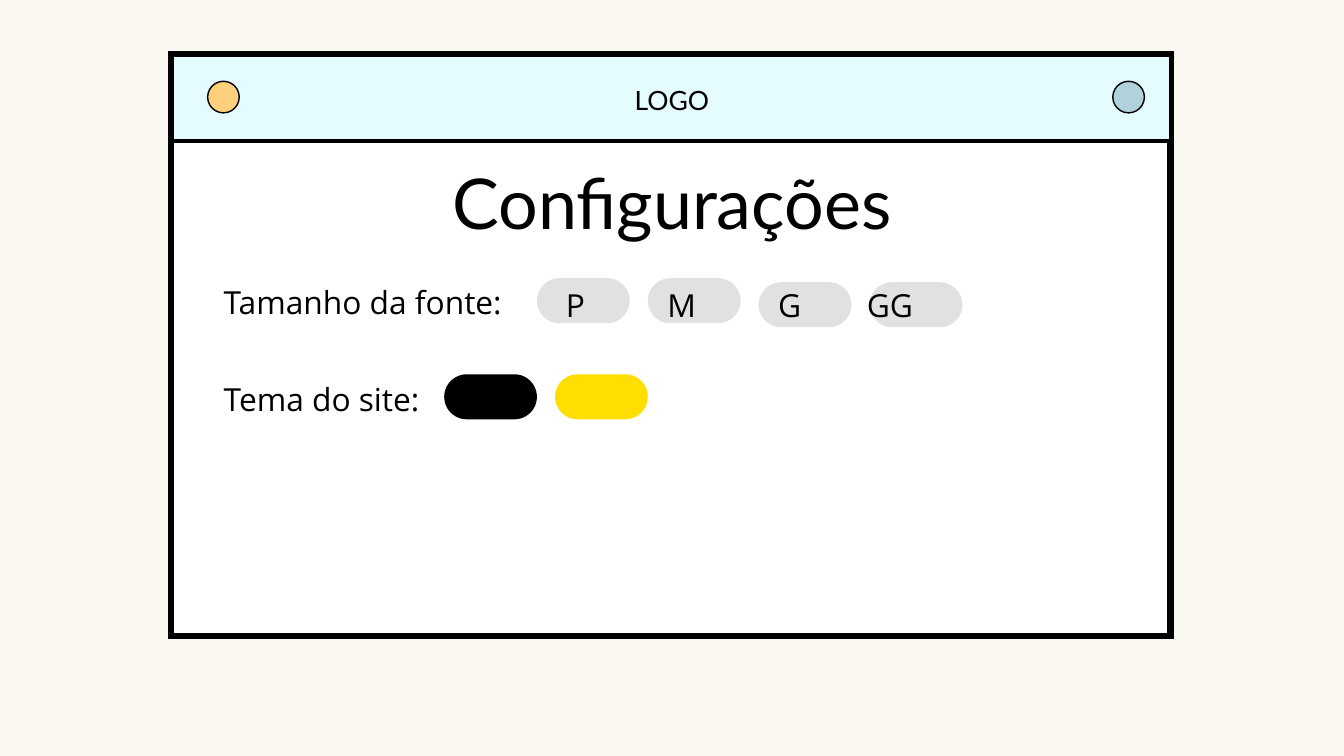
from lxml.etree import SubElement
from pptx import Presentation
from pptx.dml.color import RGBColor
from pptx.enum.shapes import MSO_SHAPE as Shape
from pptx.enum.text import MSO_AUTO_SIZE as AutoSize, PP_ALIGN as Align
from pptx.oxml.ns import qn
from pptx.util import Pt

PX = 9144  # 100 px to the inch

CREAM = RGBColor(0xFB, 0xF7, 0xF1)
WHITE = RGBColor(0xFF, 0xFF, 0xFF)
BLACK = RGBColor(0x00, 0x00, 0x00)
ICE = RGBColor(0xE4, 0xFB, 0xFF)
ORANGE = RGBColor(0xFF, 0xD0, 0x7B)
BLUE = RGBColor(0xB0, 0xD2, 0xDD)
GREY = RGBColor(0xE1, 0xE1, 0xE1)
YELLOW = RGBColor(0xFF, 0xDE, 0x00)

LOGO = {"name": "Lato", "size": Pt(28.4)}
TITLE = {"name": "Lato", "size": Pt(75)}
BODY = {"name": "Open Sans", "size": Pt(34)}

PILL_W, PILL_H, PILL_PITCH = 138, 67, 165


def px(*lengths):
    return [round(length * PX) for length in lengths]


def add_figure(slide, kind, box, fill, line_width=0):
    figure = slide.shapes.add_shape(kind, *px(*box))
    figure.shadow.inherit = False
    figure.fill.solid()
    figure.fill.fore_color.rgb = fill
    if line_width:
        figure.line.color.rgb = BLACK
        figure.line.width = Pt(line_width)
        # Square outer corners
        SubElement(figure.line._get_or_add_ln(), qn("a:miter"), lim="800000")
    else:
        figure.line.fill.background()
    return figure


def add_label(slide, box, text, style, leading, align=Align.LEFT, tabs=()):
    frame = slide.shapes.add_textbox(*px(*box)).text_frame
    margins = {f"margin_{side}": 0 for side in ("left", "top", "right", "bottom")}
    for key, value in {"word_wrap": True, "auto_size": AutoSize.SHAPE_TO_FIT_TEXT,
                       **margins}.items():
        setattr(frame, key, value)
    paragraph = frame.paragraphs[0]
    paragraph.alignment = align
    paragraph.line_spacing = Pt(leading)
    if tabs:
        tab_list = SubElement(paragraph._p.get_or_add_pPr(), qn("a:tabLst"))
        for stop in px(*tabs):
            SubElement(tab_list, qn("a:tab"), pos=str(stop), algn="l")
    run = paragraph.add_run()
    run.text = text
    for key, value in style.items():
        setattr(run.font, key, value)
    run.font.color.rgb = BLACK


def add_pills(slide, left, top, colours, drops):
    for i, (colour, drop) in enumerate(zip(colours, drops)):
        box = (left + i * PILL_PITCH, top + drop, PILL_W, PILL_H)
        pill = add_figure(slide, Shape.ROUNDED_RECTANGLE, box, colour)
        pill.adjustments[0] = 0.5


def build_header(slide, left, top, width, height):
    add_figure(slide, Shape.RECTANGLE, (left, top, width, height), ICE, 4.5)
    # Round buttons at both ends
    for offset, colour in ((53, ORANGE), (1400, BLUE)):
        add_figure(slide, Shape.OVAL, (left + offset, top + 40, 47, 47), colour, 1.5)
    add_label(slide, (left + 682, top + 36, 124, 52), "LOGO", LOGO, 39.7, Align.CENTER)


def build_font_size_row(slide, left, top):
    add_label(slide, (left, top, 420, 63), "Tamanho da fonte:", BODY, 47.6)
    add_pills(slide, left + 466, top + 2, [GREY] * 4, (0, 0, 6, 6))
    add_label(slide, (left + 509, top + 4, 617, 63), "P\tM\tG\tGG", BODY, 47.6,
              tabs=(151, 316, 448))


def build_theme_row(slide, left, top):
    add_label(slide, (left, top, 420, 63), "Tema do site:", BODY, 47.6)
    add_pills(slide, left + 328, top + 2, (BLACK, YELLOW), (0, 0))


def build_window(slide, left, top, width, height):
    add_figure(slide, Shape.RECTANGLE, (left, top, width, height), WHITE, 6.75)
    build_header(slide, left + 1, top, width, 129)
    add_label(slide, (left + 122, top + 135, 1246, 140), "Configurações", TITLE, 104.9,
              Align.CENTER)
    # Settings rows
    build_font_size_row(slide, left + 78, top + 331)
    build_theme_row(slide, left + 78, top + 474)


def main():
    deck = Presentation()
    deck.slide_width, deck.slide_height = px(2000, 1125)
    slide = deck.slides.add_slide(deck.slide_layouts[6])
    slide.background.fill.solid()
    slide.background.fill.fore_color.rgb = CREAM
    build_window(slide, 255, 81, 1487, 866)
    deck.save("out.pptx")


if __name__ == "__main__":
    main()
